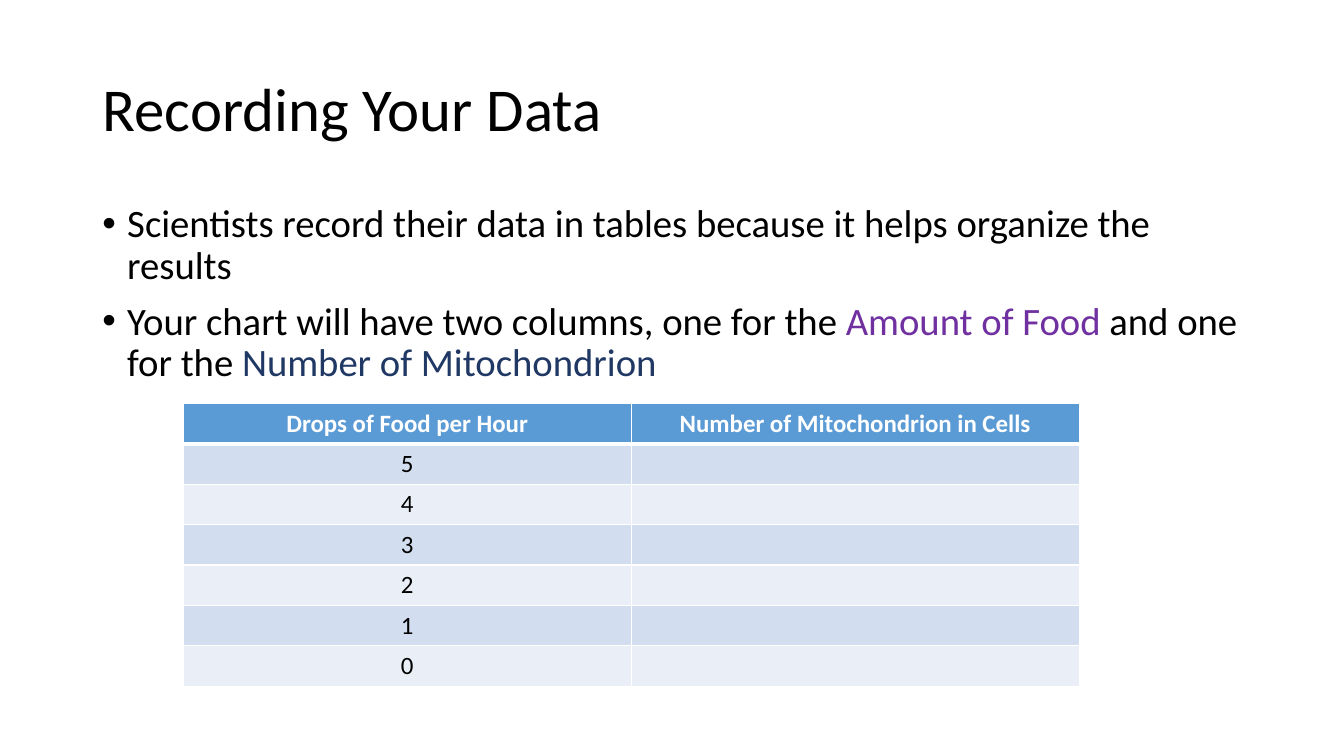
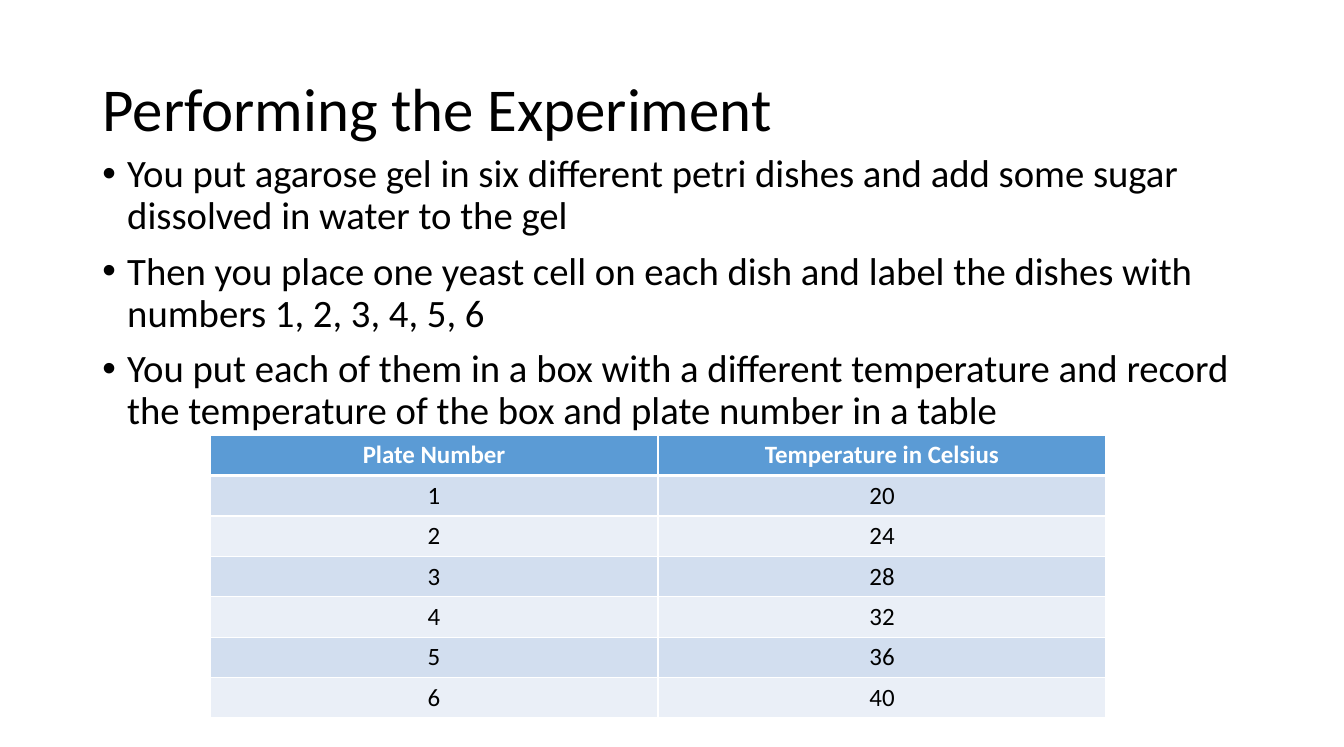
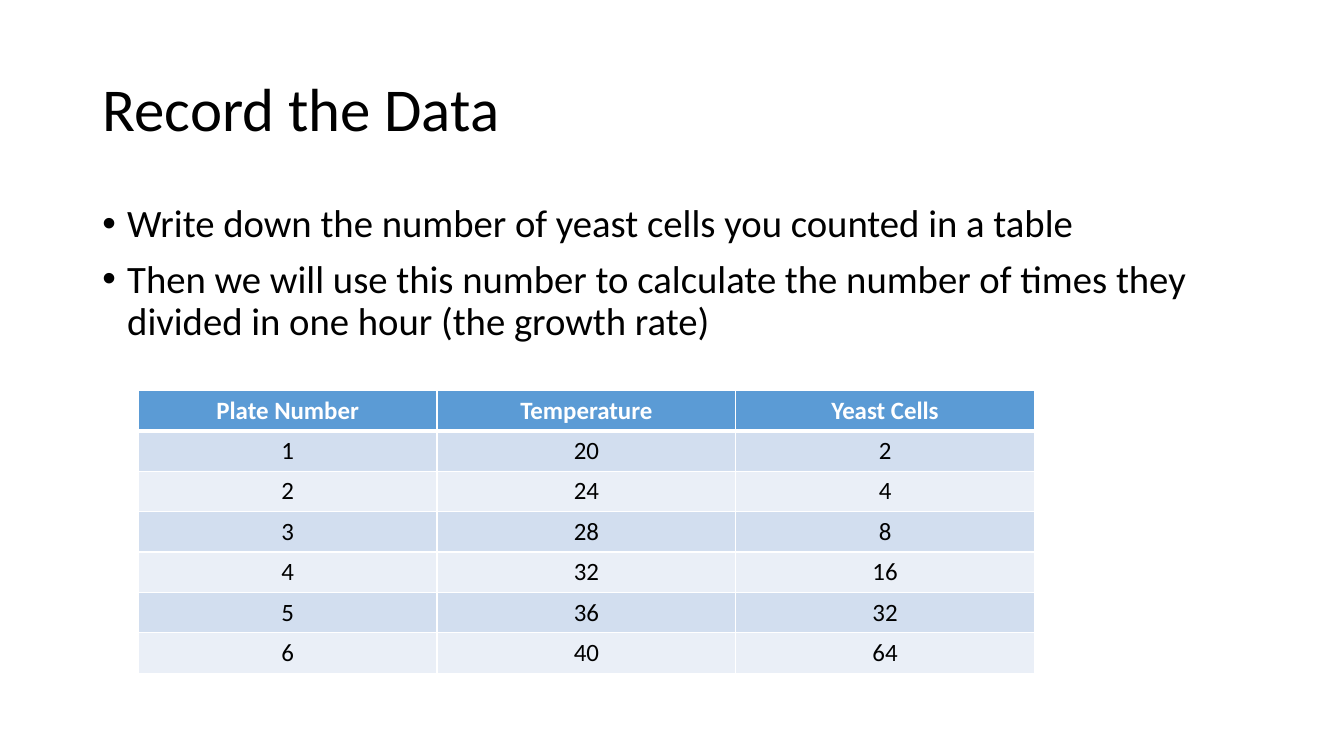
from lxml.etree import SubElement
from pptx import Presentation
from pptx.dml.color import RGBColor
from pptx.enum.text import MSO_ANCHOR, PP_ALIGN
from pptx.oxml.ns import qn
from pptx.util import Inches, Pt

FONT = "Calibri"
BLACK = RGBColor(0x00, 0x00, 0x00)
WHITE = RGBColor(0xFF, 0xFF, 0xFF)
PURPLE = RGBColor(0x70, 0x30, 0xA0)
NAVY = RGBColor(0x20, 0x38, 0x64)
HEADER_BLUE = RGBColor(0x5B, 0x9B, 0xD5)
BAND_DARK = RGBColor(0xD2, 0xDE, 0xEF)
BAND_LIGHT = RGBColor(0xEA, 0xEF, 0xF7)

TITLE_ONLY = 5
TEXT_LEFT, TEXT_WIDTH = Inches(0.93), Inches(11.64)
TABLE_WIDTH, TABLE_HEIGHT = Inches(9), Inches(2.84)
BULLET_INDENT = Inches(0.25)
TEMPERATURES = [20, 24, 28, 32, 36, 40]


def add_span(para, text, size, color=BLACK, bold=False):
    """Append formatted text to a paragraph."""
    span = para.add_run()
    span.text = text
    span.font.name = FONT
    span.font.size = Pt(size)
    span.font.color.rgb = color
    span.font.bold = bold


def add_page(deck, title):
    """Add a slide with the shared title style."""
    page = deck.slides.add_slide(deck.slide_layouts[TITLE_ONLY])
    box = page.shapes.title
    box.left, box.top = TEXT_LEFT, Inches(0.4)
    box.width, box.height = TEXT_WIDTH, Inches(1.45)
    box.text_frame.vertical_anchor = MSO_ANCHOR.MIDDLE
    para = box.text_frame.paragraphs[0]
    para.alignment = PP_ALIGN.LEFT
    para.line_spacing = 0.9
    add_span(para, title, 44)
    return page


def set_bullet(para):
    """Give a paragraph a round bullet with a hanging indent."""
    properties = para._p.get_or_add_pPr()
    properties.set("marL", str(BULLET_INDENT))
    properties.set("indent", str(-BULLET_INDENT))
    SubElement(properties, qn("a:buFont"), typeface="Arial")
    SubElement(properties, qn("a:buChar"), char="\u2022")


def add_bullets(page, items, top=2):
    """Add bulleted text; each item is a list of (text, color) spans."""
    box = page.shapes.add_textbox(TEXT_LEFT, Inches(top), TEXT_WIDTH, Inches(4.76))
    frame = box.text_frame
    frame.word_wrap = True
    for index, spans in enumerate(items):
        para = frame.add_paragraph() if index else frame.paragraphs[0]
        para.line_spacing = 0.9
        para.space_before = Pt(10)
        set_bullet(para)
        for text, color in spans:
            add_span(para, text, 28, color)


def set_borders(cell, top=1, bottom=1):
    """Draw white cell borders, with top and bottom widths in points."""
    properties = cell._tc.get_or_add_tcPr()
    for side, width in (("L", 1), ("R", 1), ("T", top), ("B", bottom)):
        line = SubElement(properties, qn(f"a:ln{side}"), w=str(Pt(width)))
        fill = SubElement(line, qn("a:solidFill"))
        SubElement(fill, qn("a:srgbClr"), val=str(WHITE))


def fill_cell(cell, value, row):
    """Write one cell, styled as header or band by its row number."""
    header = row == 0
    set_borders(cell, top=3 if row == 1 else 1, bottom=3 if header else 1)
    cell.fill.solid()
    band = BAND_DARK if row % 2 else BAND_LIGHT
    cell.fill.fore_color.rgb = HEADER_BLUE if header else band
    para = cell.text_frame.paragraphs[0]
    para.alignment = PP_ALIGN.CENTER
    if value != "":
        add_span(para, str(value), 18, WHITE if header else BLACK, header)


def add_data_table(page, rows, left, top):
    """Add a banded table with equal columns and a header row."""
    table = page.shapes.add_table(len(rows), len(rows[0]), Inches(left), Inches(top),
                                  TABLE_WIDTH, TABLE_HEIGHT).table
    for row, values in enumerate(rows):
        for column, value in enumerate(values):
            fill_cell(table.cell(row, column), value, row)


def build_food_page(deck):
    """Build the slide with the empty results table."""
    page = add_page(deck, "Recording Your Data")
    add_bullets(page, [
        [("Scientists record their data in tables because it helps organize the results",
          BLACK)],
        [("Your chart will have two columns, one for the ", BLACK),
         ("Amount of Food", PURPLE),
         (" and one for the ", BLACK),
         ("Number of Mitochondrion", NAVY)],
    ])
    rows = [("Drops of Food per Hour", "Number of Mitochondrion in Cells")]
    rows += [(drops, "") for drops in range(5, -1, -1)]
    add_data_table(page, rows, left=1.84, top=4.05)


def build_experiment_page(deck):
    """Build the slide with the plate temperatures."""
    page = add_page(deck, "Performing the Experiment")
    add_bullets(page, [
        [("You put agarose gel in six different petri dishes and add some sugar "
          "dissolved in water to the gel", BLACK)],
        [("Then you place one yeast cell on each dish and label the dishes with "
          "numbers 1, 2, 3, 4, 5, 6", BLACK)],
        [("You put each of them in a box with a different temperature and record "
          "the temperature of the box and plate number in a table", BLACK)],
    ], top=1.5)
    rows = [("Plate Number", "Temperature in Celsius"), *enumerate(TEMPERATURES, 1)]
    add_data_table(page, rows, left=2.11, top=4.37)


def build_results_page(deck):
    """Build the slide with the yeast cell counts."""
    page = add_page(deck, "Record the Data")
    add_bullets(page, [
        [("Write down the number of yeast cells you counted in a table", BLACK)],
        [("Then we will use this number to calculate the number of times they "
          "divided in one hour (the growth rate)", BLACK)],
    ])
    rows = [("Plate Number", "Temperature", "Yeast Cells")]
    rows += [(plate, degrees, 2 ** plate)
             for plate, degrees in enumerate(TEMPERATURES, 1)]
    add_data_table(page, rows, left=1.39, top=3.92)


def main():
    """Build and save the deck."""
    deck = Presentation()
    deck.slide_width, deck.slide_height = Inches(13.5), Inches(7.5)
    build_food_page(deck)
    build_experiment_page(deck)
    build_results_page(deck)
    deck.save("out.pptx")


main()
